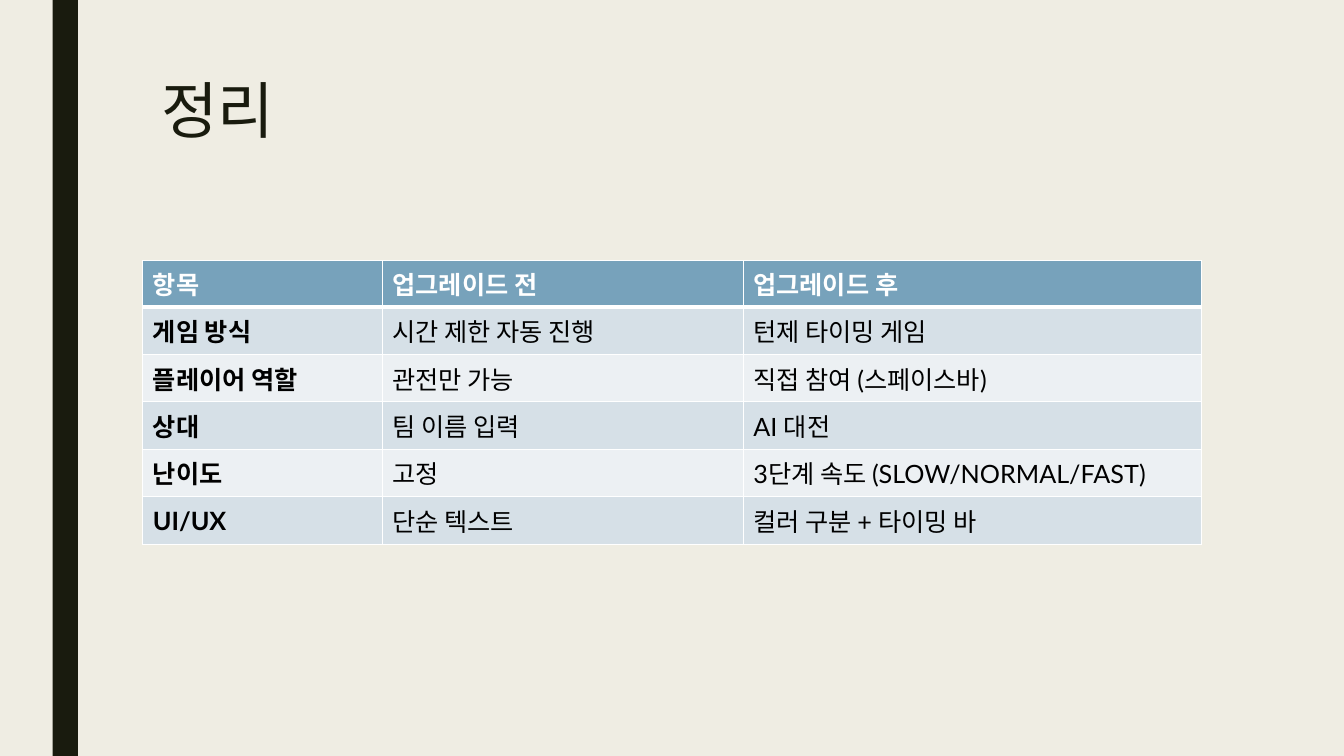
from dataclasses import dataclass

from lxml import etree
from pptx import Presentation
from pptx.dml.color import RGBColor
from pptx.enum import shapes, text
from pptx.oxml import ns
from pptx.util import Pt

FONT = "Lato"
HUES = {
    "page": "EFEDE3",
    "dark": "191B0E",
    "head": "77A2BB",
    "odd": "D6E0E7",
    "even": "ECF0F3",
    "white": "FFFFFF",
    "black": "000000",
}
WIDTHS = (171.2, 257.8, 327)
HEAD_H, ROW_H = 33, 33.9


@dataclass
class Row:
    item: str
    old: str
    new: str


ROWS = [
    Row("항목", "업그레이드 전", "업그레이드 후"),
    Row("게임 방식", "시간 제한 자동 진행", "턴제 타이밍 게임"),
    Row("플레이어 역할", "관전만 가능", "직접 참여 (스페이스바)"),
    Row("상대", "팀 이름 입력", "AI 대전"),
    Row("난이도", "고정", "3단계 속도 (SLOW/NORMAL/FAST)"),
    Row("UI/UX", "단순 텍스트", "컬러 구분 + 타이밍 바"),
]


def hue(name: str) -> RGBColor:
    return RGBColor.from_string(HUES[name])


def paint(fill, name: str) -> None:
    fill.solid()
    fill.fore_color.rgb = hue(name)


def style(para, size: float, name: str, bold: bool = False) -> None:
    font = para.font
    font.name, font.size, font.bold = FONT, Pt(size), bold
    font.color.rgb = hue(name)


def edge(cell, row: int) -> None:
    props = cell._tc.get_or_add_tcPr()
    thick = {"T": 3 if row == 1 else 1, "B": 3 if row == 0 else 1}
    for spot, side in enumerate("LRTB"):
        line = etree.Element(ns.qn(f"a:ln{side}"), w=str(Pt(thick.get(side, 1))))
        fill = etree.SubElement(line, ns.qn("a:solidFill"))
        etree.SubElement(fill, ns.qn("a:srgbClr"), val=HUES["white"])
        props.insert(spot, line)


def add_bar(slide) -> None:
    bar = slide.shapes.add_shape(
        shapes.MSO_SHAPE.RECTANGLE, Pt(37.6), Pt(0), Pt(18), Pt(540)
    )
    bar.shadow.inherit = False
    paint(bar.fill, "dark")
    bar.line.fill.background()


def set_title(slide, words: str) -> None:
    title = slide.shapes.title
    title.left, title.top = Pt(108), Pt(54)
    title.width, title.height = Pt(756), Pt(116.6)
    frame = title.text_frame
    frame.text = words
    frame.auto_size = text.MSO_AUTO_SIZE.NONE
    frame.vertical_anchor = text.MSO_ANCHOR.TOP
    para = frame.paragraphs[0]
    para.alignment = text.PP_ALIGN.LEFT
    para.line_spacing = 0.89
    style(para, 44, "dark")


def add_grid(slide, rows: list[Row]) -> None:
    high = HEAD_H + ROW_H * (len(rows) - 1)
    table = slide.shapes.add_table(
        len(rows), len(WIDTHS), Pt(102), Pt(186), Pt(sum(WIDTHS)), Pt(high)
    ).table
    for col, wide in zip(table.columns, WIDTHS):
        col.width = Pt(wide)
    for r, row in enumerate(rows):
        head = r == 0
        table.rows[r].height = Pt(HEAD_H if head else ROW_H)
        shade = "head" if head else "odd" if r % 2 else "even"
        for c, words in enumerate((row.item, row.old, row.new)):
            cell = table.cell(r, c)
            cell.text = words
            anchor = text.MSO_ANCHOR
            cell.vertical_anchor = anchor.TOP if head else anchor.MIDDLE
            ink = "white" if head else "black"
            style(cell.text_frame.paragraphs[0], 18, ink, head or c == 0)
            paint(cell.fill, shade)
            edge(cell, r)


def main() -> None:
    deck = Presentation()
    deck.slide_width, deck.slide_height = Pt(960), Pt(540)
    slide = deck.slides.add_slide(deck.slide_layouts[5])
    paint(slide.background.fill, "page")
    add_bar(slide)
    set_title(slide, "정리")
    add_grid(slide, ROWS)
    deck.save("out.pptx")


if __name__ == "__main__":
    main()
